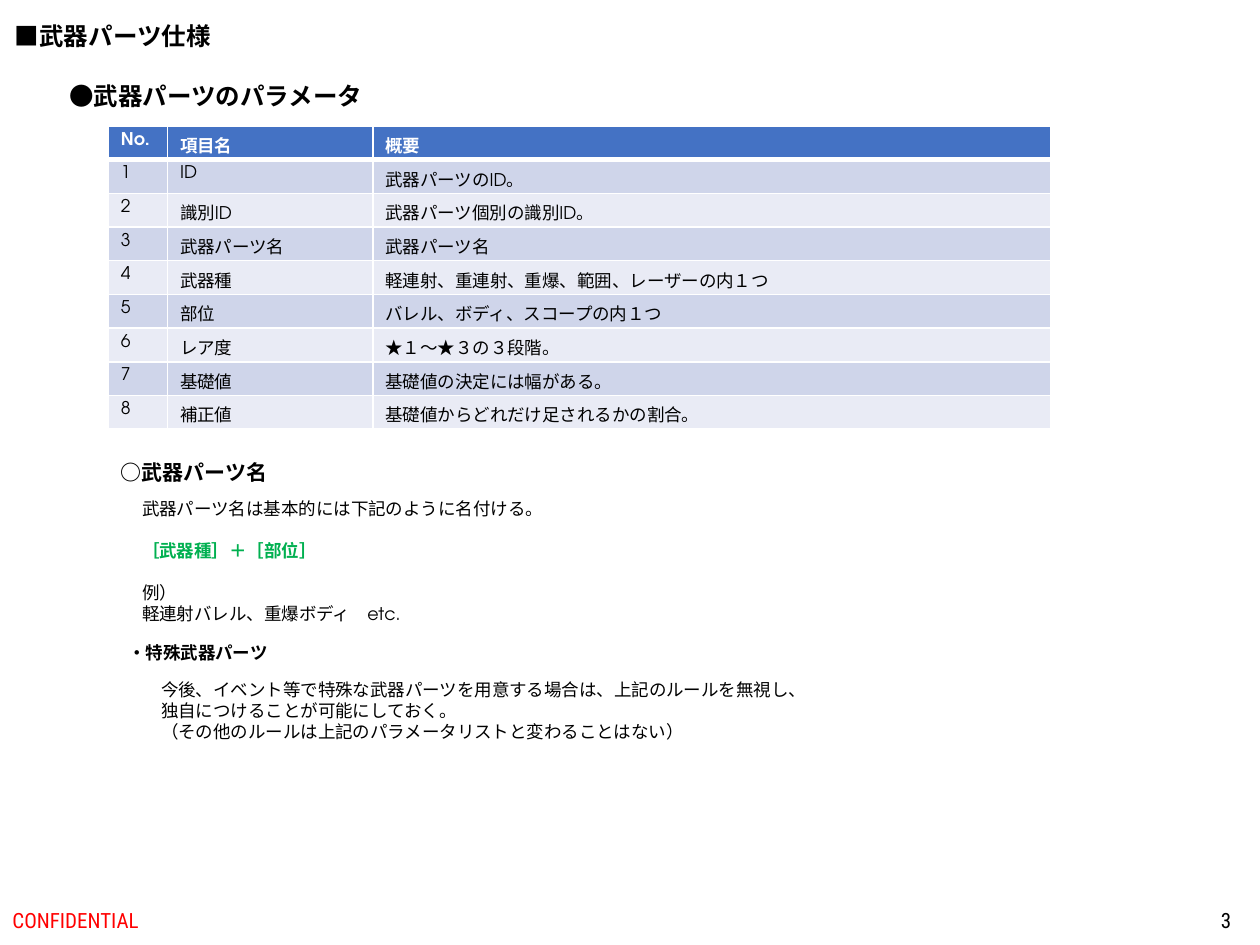
from dataclasses import dataclass

from lxml.etree import SubElement
from pptx import Presentation
from pptx.dml.color import RGBColor
from pptx.enum.text import MSO_ANCHOR, MSO_AUTO_SIZE, PP_ALIGN
from pptx.oxml.ns import qn
from pptx.slide import Slide
from pptx.table import _Cell
from pptx.text.text import _Paragraph
from pptx.util import Inches, Pt


@dataclass(frozen=True)
class Theme:
    heading_font: str = "Arial"
    body_font: str = "TeX Gyre Adventor"
    footer_font: str = "Roboto Condensed"
    title_size: float = 14
    section_size: float = 12
    body_size: float = 10
    black: str = "000000"
    white: str = "FFFFFF"
    red: str = "FF0000"
    green: str = "00B050"
    header_fill: str = "4472C4"
    band_fills: tuple[str, str] = ("CFD5EA", "E9EBF5")
    thin_border: float = 1
    thick_border: float = 3


THEME = Theme()


@dataclass(frozen=True)
class Line:
    text: str
    size: float = THEME.body_size
    bold: bool = False
    color: str = THEME.black
    font: str = THEME.body_font
    space_before: float = 0


@dataclass(frozen=True)
class TextBlock:
    left: float
    top: float
    width: float
    height: float
    lines: tuple[Line, ...]
    footer: bool = False
    align: PP_ALIGN = PP_ALIGN.LEFT


def footer_line(text: str, color: str) -> Line:
    return Line(text, THEME.section_size, color=color, font=THEME.footer_font)


BLOCKS = (
    TextBlock(0.02, 0.12, 1.77, 0.34, (
        Line("■武器パーツ仕様", THEME.title_size, True, font=THEME.heading_font),
    )),
    TextBlock(0, 7.1, 3.38, 0.4, (footer_line("CONFIDENTIAL", THEME.red),), True),
    TextBlock(7.62, 7.1, 2.25, 0.4, (footer_line("3", THEME.black),), True, PP_ALIGN.RIGHT),
    TextBlock(0.45, 0.59, 2.56, 0.34, (
        Line("●武器パーツのパラメータ", THEME.title_size, True),
    )),
    TextBlock(0.86, 3.6, 1.38, 0.3, (
        Line("○武器パーツ名", THEME.section_size, True),
    )),
    TextBlock(1.03, 3.9, 3.43, 1.11, (
        Line("武器パーツ名は基本的には下記のように名付ける。"),
        Line("［武器種］＋［部位］", bold=True, color=THEME.green, space_before=12),
        Line("例）", space_before=12),
        Line("軽連射バレル、重爆ボディ　etc."),
    )),
    TextBlock(0.92, 5.05, 1.32, 0.27, (Line("・特殊武器パーツ", bold=True),)),
    TextBlock(1.18, 5.34, 5.39, 0.61, (
        Line("今後、イベント等で特殊な武器パーツを用意する場合は、上記のルールを無視し、"),
        Line("独自につけることが可能にしておく。"),
        Line("（その他のルールは上記のパラメータリストと変わることはない）"),
    )),
)

COLUMN_WIDTHS = (0.47, 1.63, 5.38)
ROW_HEIGHT = 0.18
HEADER = ("No.", "項目名", "概要")
PARAMETERS = (
    ("ID", "武器パーツのID。"),
    ("識別ID", "武器パーツ個別の識別ID。"),
    ("武器パーツ名", "武器パーツ名"),
    ("武器種", "軽連射、重連射、重爆、範囲、レーザーの内１つ"),
    ("部位", "バレル、ボディ、スコープの内１つ"),
    ("レア度", "★１～★３の３段階。"),
    ("基礎値", "基礎値の決定には幅がある。"),
    ("補正値", "基礎値からどれだけ足されるかの割合。"),
)


def write_line(paragraph: _Paragraph, line: Line) -> None:
    if line.space_before:
        paragraph.space_before = Pt(line.space_before)
    span = paragraph.add_run()
    span.text = line.text
    span.font.name = line.font
    span.font.size = Pt(line.size)
    span.font.bold = line.bold
    span.font.color.rgb = RGBColor.from_string(line.color)


def draw_block(page: Slide, block: TextBlock) -> None:
    box = page.shapes.add_textbox(
        Inches(block.left), Inches(block.top), Inches(block.width), Inches(block.height)
    )
    frame = box.text_frame
    frame.word_wrap = block.footer
    if block.footer:
        frame.vertical_anchor = MSO_ANCHOR.MIDDLE
    else:
        frame.auto_size = MSO_AUTO_SIZE.SHAPE_TO_FIT_TEXT
    for index, line in enumerate(block.lines):
        paragraph = frame.add_paragraph() if index else frame.paragraphs[0]
        paragraph.alignment = block.align
        write_line(paragraph, line)


def set_borders(cell: _Cell, top: float, bottom: float) -> None:
    properties = cell._tc.get_or_add_tcPr()
    widths = {"lnL": THEME.thin_border, "lnR": THEME.thin_border, "lnT": top, "lnB": bottom}
    for side, width in widths.items():
        border = SubElement(properties, qn(f"a:{side}"), w=str(Pt(width)))
        fill = SubElement(border, qn("a:solidFill"))
        SubElement(fill, qn("a:srgbClr"), val=THEME.white)


def draw_parameter_table(page: Slide) -> None:
    rows = [HEADER] + [(str(number), *row) for number, row in enumerate(PARAMETERS, 1)]
    table = page.shapes.add_table(
        len(rows), len(HEADER), Inches(0.86), Inches(1),
        Inches(sum(COLUMN_WIDTHS)), Inches(ROW_HEIGHT * len(rows)),
    ).table
    for column, width in zip(table.columns, COLUMN_WIDTHS):
        column.width = Inches(width)
    for row_index, texts in enumerate(rows):
        table.rows[row_index].height = Inches(ROW_HEIGHT)
        is_header = row_index == 0
        fill = THEME.header_fill if is_header else THEME.band_fills[(row_index - 1) % 2]
        color = THEME.white if is_header else THEME.black
        top = THEME.thick_border if row_index == 1 else THEME.thin_border
        bottom = THEME.thick_border if is_header else THEME.thin_border
        for column_index, text in enumerate(texts):
            cell = table.cell(row_index, column_index)
            set_borders(cell, top, bottom)
            cell.fill.solid()
            cell.fill.fore_color.rgb = RGBColor.from_string(fill)
            write_line(cell.text_frame.paragraphs[0], Line(text, bold=is_header, color=color))


def main() -> None:
    deck = Presentation()
    deck.slide_width = Inches(10)
    deck.slide_height = Inches(7.5)
    page = deck.slides.add_slide(deck.slide_layouts[6])
    for block in BLOCKS:
        draw_block(page, block)
    draw_parameter_table(page)
    deck.save("out.pptx")


if __name__ == "__main__":
    main()
